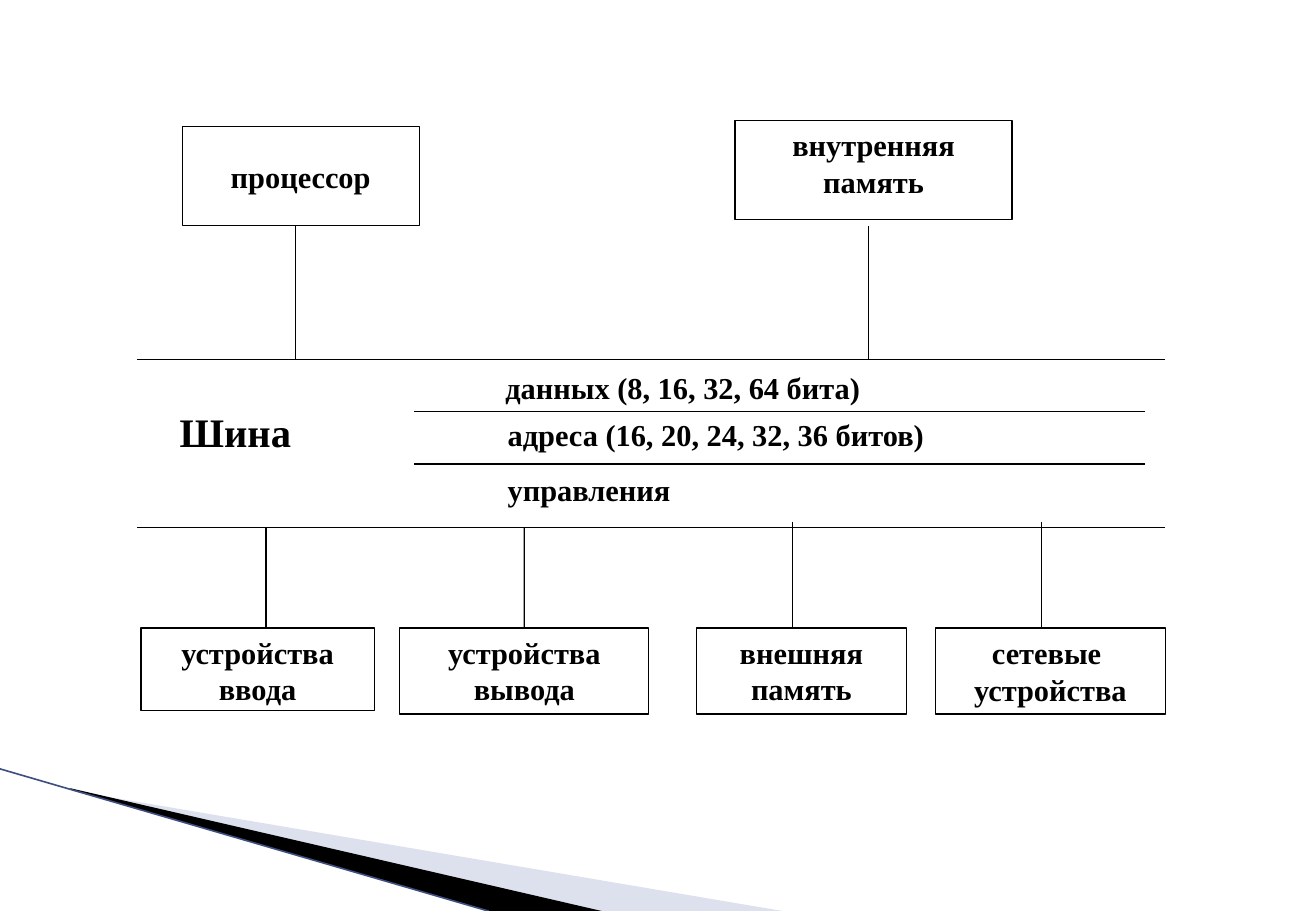
"""Builds a slide with the computer bus and the devices attached to it."""
from pptx import Presentation, util as u
from pptx.dml.color import RGBColor
from pptx.enum import shapes, text
from pptx.oxml import ns
from lxml import etree

BLACK = RGBColor(0, 0, 0)
WHITE = RGBColor(255, 255, 255)
PALE_BLUE = RGBColor(0xAC, 0xB4, 0xD5)
EDGE_BLUE = RGBColor(0x3F, 0x4F, 0x80)
FONT = "Times New Roman"
TOP, MIDDLE = text.MSO_ANCHOR.TOP, text.MSO_ANCHOR.MIDDLE

# All lengths are percentages of the slide's width and height.
BUS_TOP, BUS_BOTTOM = 39.47, 57.87
BUS_LINES = [
    (10.43, 88.55, BUS_TOP),
    (31.49, 86.98, 45.2),
    (31.49, 86.98, 50.93),
    (10.43, 88.55, BUS_BOTTOM),
]
BUS_LABELS = [
    ("данных (8, 16, 32, 64 бита)", 18, (37.49, 39.87, 42.84, 5.33)),
    ("адреса (16, 20, 24, 32, 36 битов)", 18, (37.67, 45.07, 42.84, 5.33)),
    ("управления", 18, (37.67, 51.07, 42.84, 5.33)),
    ("Шина", 24, (12.74, 44, 12.56, 6.67)),
]
UPPER_DEVICES = [
    (["процессор"], (13.85, 13.87, 18.01, 10.93), MIDDLE, (22.44, 24.8, BUS_TOP)),
    (["внутренняя память"], (55.86, 13.2, 21.05, 10.93), TOP, (66.02, 24.8, BUS_TOP)),
]
ROW = 68.93
LOWER_DEVICES = [
    (["устройства ввода"], (10.71, ROW, 17.73, 9.07), TOP, (20.22, BUS_BOTTOM, ROW)),
    (["устройства вывода"], (30.38, ROW, 18.93, 9.47), TOP, (39.84, BUS_BOTTOM, ROW)),
    (["внешняя память"], (52.91, ROW, 15.97, 9.47), TOP, (60.2, 57.33, ROW)),
    (["сетевые ", "устройства"], (71.1, ROW, 17.45, 9.47), MIDDLE, (79.13, 57.33, ROW)),
]
WEDGES = [
    (PALE_BLUE, 40, [(5.45, 86.8), (59.46, 100), (45.61, 100), (5.45, 86.67)]),
    (BLACK, 100, [(5.36, 86.53), (45.71, 100), (37.2, 100), (5.36, 86.67)]),
]
WEDGE_EDGE = (0, 84.4, 37.1, 100)

deck = Presentation()
deck.slide_width, deck.slide_height = u.Inches(10.83), u.Inches(7.5)
slide = deck.slides.add_slide(deck.slide_layouts[6])


def place(*shares):
    """Turn alternating horizontal and vertical percentages into lengths."""
    sides = (deck.slide_width, deck.slide_height)
    return [round(share * sides[i % 2] / 100) for i, share in enumerate(shares)]


def draw_line(ends, color=BLACK, width=0.75):
    line = slide.shapes.add_connector(shapes.MSO_CONNECTOR.STRAIGHT, *place(*ends))
    line.line.color.rgb = color
    line.line.width = u.Pt(width)
    etree.SubElement(line._element.spPr, ns.qn("a:effectLst"))
    return line


def write(frame, paragraphs, size, align, anchor):
    frame.word_wrap = True
    frame.vertical_anchor = anchor
    for i, words in enumerate(paragraphs):
        paragraph = frame.add_paragraph() if i else frame.paragraphs[0]
        paragraph.alignment = align
        run = paragraph.add_run()
        run.text = words
        run.font.name, run.font.size, run.font.bold = FONT, u.Pt(size), True
        run.font.color.rgb = BLACK


def draw_device(words, area, anchor, stem, below_bus):
    device = slide.shapes.add_shape(shapes.MSO_SHAPE.RECTANGLE, *place(*area))
    device.shadow.inherit = False
    device.fill.solid()
    device.fill.fore_color.rgb = WHITE
    device.line.color.rgb = BLACK
    device.line.width = u.Pt(0.75)
    write(device.text_frame, words, 18, text.PP_ALIGN.CENTER, anchor)
    x, start, end = stem
    link = draw_line((x, start, x, end))
    if below_bus and abs(area[0] + area[2] / 2 - x) < 0.1:
        link.end_connect(device, 0)


for color, opacity, corners in WEDGES:
    points = [place(*corner) for corner in corners]
    builder = slide.shapes.build_freeform(*points[0])
    builder.add_line_segments(points[1:], close=True)
    wedge = builder.convert_to_shape()
    wedge.shadow.inherit = False
    wedge.fill.solid()
    wedge.fill.fore_color.rgb = color
    wedge.line.fill.background()
    tint = wedge._element.spPr.find(ns.qn("a:solidFill"))[0]
    etree.SubElement(tint, ns.qn("a:alpha"), val=str(opacity * 1000))
draw_line(WEDGE_EDGE, EDGE_BLUE, 0.95)

for left, right, y in BUS_LINES:
    draw_line((left, y, right, y))
for words, size, area in BUS_LABELS:
    label = slide.shapes.add_textbox(*place(*area))
    write(label.text_frame, [words], size, text.PP_ALIGN.LEFT, TOP)
for devices, below_bus in ((UPPER_DEVICES, False), (LOWER_DEVICES, True)):
    for device in devices:
        draw_device(*device, below_bus)

deck.save("out.pptx")
